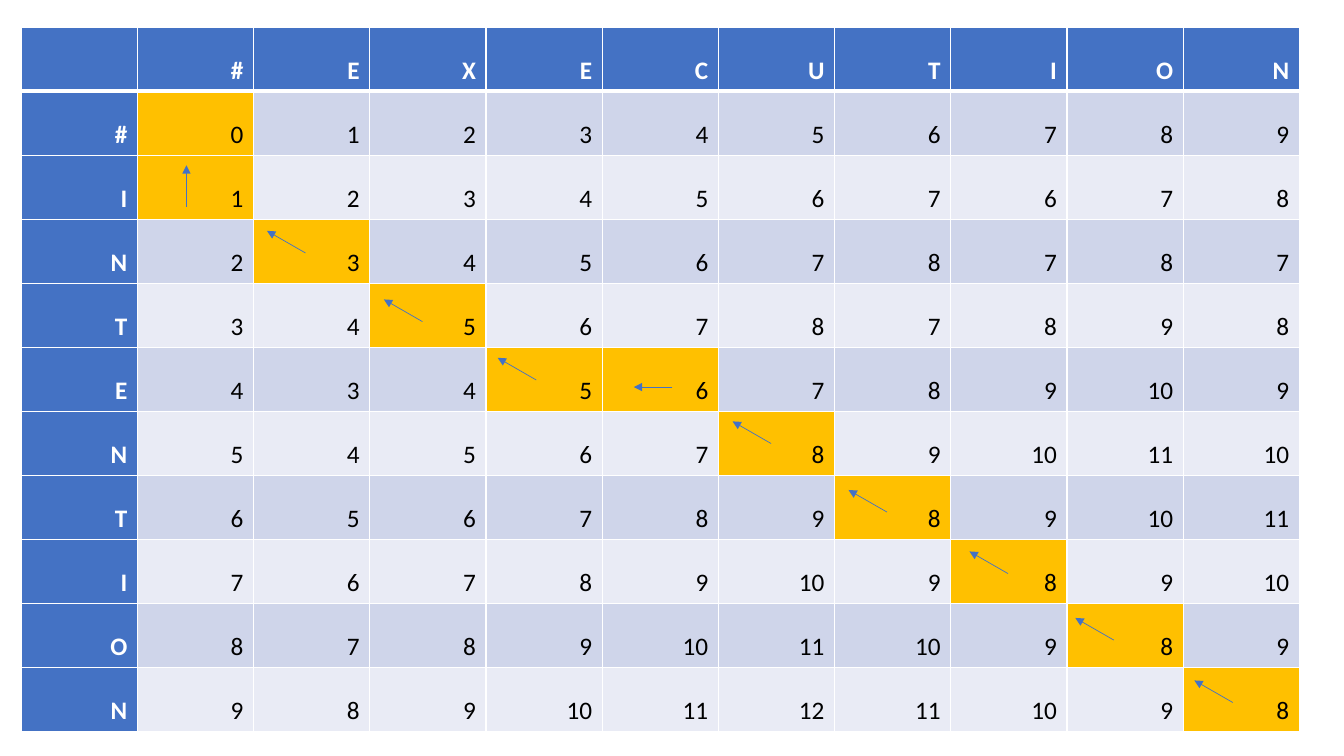
from dataclasses import dataclass

from lxml.etree import SubElement
from pptx import Presentation
from pptx.dml.color import RGBColor as RGB
from pptx.enum.shapes import MSO_CONNECTOR as CONNECTOR
from pptx.enum.text import MSO_ANCHOR as ANCHOR, PP_ALIGN as ALIGN
from pptx.oxml.ns import qn
from pptx.util import Pt

COLORS = {
    "header": "4472C4",
    "band_dark": "CFD5EA",
    "band_light": "E9EBF5",
    "trace": "FFC000",
    "white": "FFFFFF",
    "black": "000000",
}
FONT = "Calibri"
SOURCE, TARGET = "INTENTION", "EXECUTION"
LEFT, TOP, COL_W, ROW_H = 15.1, 19.4, 83, 45.75
SUBSTITUTION_COST = 2

# Arrow vectors along the backtrace
UP, DIAGONAL, BACK = (0, -29.5), (-27.5, -15.8), (-27.5, 0)


@dataclass(frozen=True)
class Step:
    """A cell of the backtrace, with the start and direction of its arrow."""
    row: int
    col: int
    x: float = 0
    y: float = 0
    move: tuple[float, float] | None = None


STEPS = [
    Step(0, 0),
    Step(1, 0, 133.2, 147.6, UP),
    Step(2, 1, 218.2, 180.7, DIAGONAL),
    Step(3, 2, 301.7, 229.7, DIAGONAL),
    Step(4, 3, 383, 271.4, DIAGONAL),
    Step(4, 4, 480.2, 276.5, BACK),
    Step(5, 5, 550.8, 316.8, DIAGONAL),
    Step(6, 6, 633.6, 365.8, DIAGONAL),
    Step(7, 7, 720, 409.7, DIAGONAL),
    Step(8, 8, 795.6, 457.2, DIAGONAL),
    Step(9, 9, 880.6, 501.8, DIAGONAL),
]


def edit_distances(source: str, target: str) -> list[list[int]]:
    rows = [list(range(len(target) + 1))]
    for i, a in enumerate(source, 1):
        above, row = rows[-1], [i]
        for j, b in enumerate(target, 1):
            change = 0 if a == b else SUBSTITUTION_COST
            row.append(min(above[j] + 1, row[-1] + 1, above[j - 1] + change))
        rows.append(row)
    return rows


def set_borders(cell, bottom: float) -> None:
    props = cell._tc.get_or_add_tcPr()
    for i, side in enumerate(("lnL", "lnR", "lnT", "lnB")):
        width = bottom if side == "lnB" else 1
        ln = props.makeelement(qn(f"a:{side}"), {"w": str(Pt(width))})
        fill = SubElement(ln, qn("a:solidFill"))
        SubElement(fill, qn("a:srgbClr"), val=COLORS["white"])
        props.insert(i, ln)


def fill_cell(cell, text: str, fill: str, is_header: bool, bottom: float) -> None:
    cell.fill.solid()
    cell.fill.fore_color.rgb = RGB.from_string(COLORS[fill])
    cell.vertical_anchor = ANCHOR.BOTTOM
    set_borders(cell, bottom)
    p = cell.text_frame.paragraphs[0]
    p.text = text
    p.alignment = ALIGN.RIGHT
    p.font.name, p.font.size, p.font.bold = FONT, Pt(18), is_header
    p.font.color.rgb = RGB.from_string(COLORS["white" if is_header else "black"])


def add_distance_table(s) -> None:
    distances = edit_distances(SOURCE, TARGET)
    grid = [["", "#", *TARGET]]
    grid += [[letter, *map(str, row)] for letter, row in zip("#" + SOURCE, distances)]
    n_rows, n_cols = len(grid), len(grid[0])
    table = s.shapes.add_table(n_rows, n_cols, Pt(LEFT), Pt(TOP),
                               Pt(COL_W * n_cols), Pt(ROW_H * n_rows)).table
    table.first_col = True
    for column in table.columns:
        column.width = Pt(COL_W)
    traced = {(step.row + 1, step.col + 1) for step in STEPS}
    for r, row in enumerate(grid):
        table.rows[r].height = Pt(ROW_H)
        for c, text in enumerate(row):
            is_header = r == 0 or c == 0
            if is_header:
                fill = "header"
            elif (r, c) in traced:
                fill = "trace"
            else:
                fill = "band_dark" if r % 2 else "band_light"
            fill_cell(table.cell(r, c), text, fill, is_header, 3 if r == 0 else 1)


def add_arrow(s, step: Step) -> None:
    dx, dy = step.move
    arrow = s.shapes.add_connector(CONNECTOR.STRAIGHT, Pt(step.x), Pt(step.y),
                                   Pt(step.x + dx), Pt(step.y + dy))
    arrow.line.width = Pt(0.5)
    arrow.line.color.rgb = RGB.from_string(COLORS["header"])
    SubElement(arrow.line._get_or_add_ln(), qn("a:tailEnd"), type="triangle")
    SubElement(arrow._element.spPr, qn("a:effectLst"))


def main() -> None:
    prs = Presentation()
    prs.slide_width, prs.slide_height = Pt(960), Pt(540)
    s = prs.slides.add_slide(prs.slide_layouts[6])

    # Distance matrix
    add_distance_table(s)

    # Backtrace arrows
    for step in STEPS:
        if step.move:
            add_arrow(s, step)

    prs.save("out.pptx")


if __name__ == "__main__":
    main()
